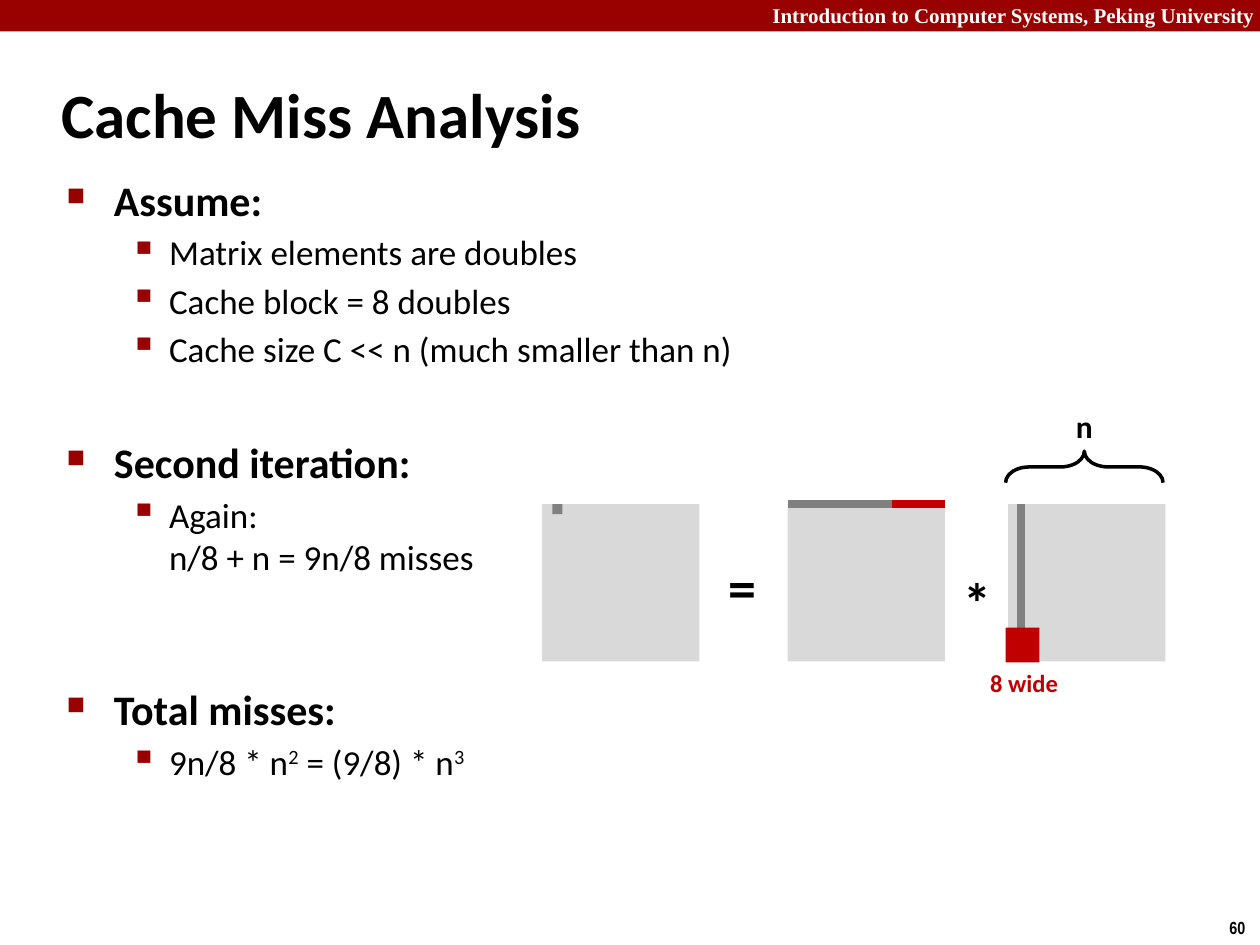
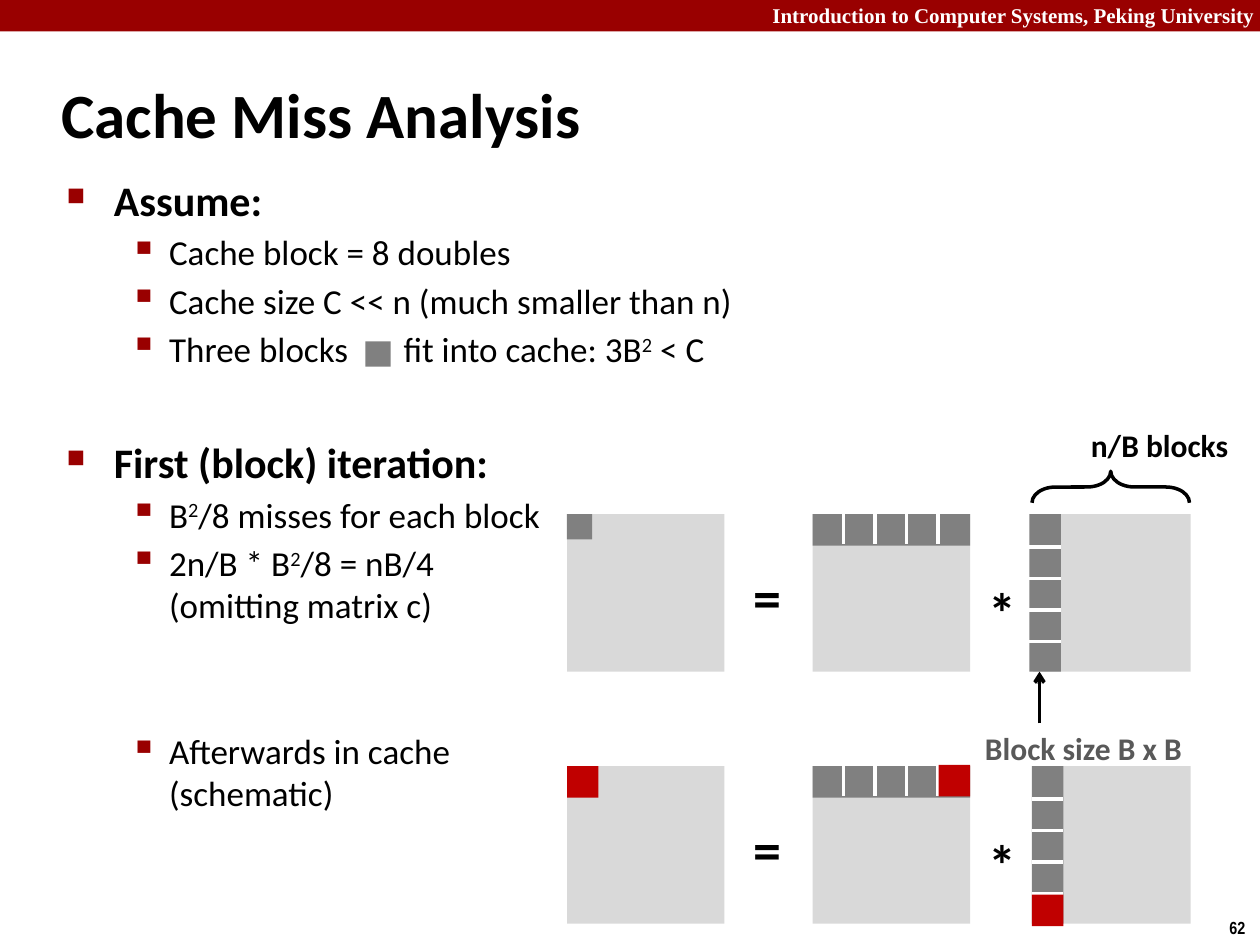
from lxml import etree
from pptx import Presentation
from pptx.dml.color import RGBColor
from pptx.enum import shapes, text
from pptx.oxml import ns
from pptx.util import Pt

RED, BRIGHT_RED = "990000", "C00000"
BLACK, WHITE = "000000", "FFFFFF"
MATRIX_GRAY, CACHED_GRAY, LABEL_GRAY = "D9D9D9", "808080", "595959"
SIDE, BLOCK = 90, 18
BLOCKS = SIDE // BLOCK
SMALL_BLOCK = 14.4
A_OFFSET, B_OFFSET = 140.4, 266.4
# level: font size, bold, left margin, indent, space before, bullet, bullet size
LEVELS = {
    0: (24, True, 27, -27, 4.3, "■", 60),
    1: (20, False, 58.5, -22.5, 3.6, "▪", 110),
}
HEADING_GAP, ITEM_GAP = 38.3, 59.6


def color(hex_string):
    return RGBColor.from_string(hex_string)


def add_xml(parent, tag, **attributes):
    return etree.SubElement(parent, ns.qn(tag), attributes)


def add_runs(paragraph, content, size, font="Calibri", fill=BLACK, bold=True):
    """Write content; ^ raises the next character and \\n breaks the line."""

    def add_run(piece, raised=False):
        run = paragraph.add_run()
        run.text = piece
        run.font.size, run.font.bold, run.font.name = Pt(size), bold, font
        run.font.color.rgb = color(fill)
        if raised:
            run._r.get_or_add_rPr().set("baseline", "30000")

    for line_number, line in enumerate(content.split("\n")):
        if line_number:
            paragraph.add_line_break()
        first, *rest = line.split("^")
        add_run(first)
        for piece in rest:
            add_run(piece[0], raised=True)
            if piece[1:]:
                add_run(piece[1:])


def add_text(slide, content, left, top, width, height, size=18, wrap=False,
             align=text.PP_ALIGN.LEFT, anchor=text.MSO_ANCHOR.TOP, **run_format):
    shape = slide.shapes.add_textbox(Pt(left), Pt(top), Pt(width), Pt(height))
    frame = shape.text_frame
    frame.word_wrap = wrap
    frame.vertical_anchor = anchor
    paragraph = frame.paragraphs[0]
    paragraph.alignment = align
    add_runs(paragraph, content, size, **run_format)


def add_rectangle(slide, left, top, width, height, fill):
    shape = slide.shapes.add_shape(shapes.MSO_SHAPE.RECTANGLE,
                                   Pt(left), Pt(top), Pt(width), Pt(height))
    shape.shadow.inherit = False
    shape.fill.solid()
    shape.fill.fore_color.rgb = color(fill)
    shape.line.fill.background()


def add_line(slide, start, end, line_color, width, arrow=False):
    line = slide.shapes.add_connector(shapes.MSO_CONNECTOR.STRAIGHT,
                                      *map(Pt, start), *map(Pt, end))
    line.line.color.rgb = color(line_color)
    line.line.width = Pt(width)
    if arrow:
        add_xml(line.line._get_or_add_ln(), "a:tailEnd", type="arrow")
    add_xml(line._element.spPr, "a:effectLst")


def add_top_brace(slide, left, top, width=90, height=18):
    """Add a brace over a matrix: a left brace turned to point upwards."""
    brace = slide.shapes.add_shape(
        shapes.MSO_SHAPE.LEFT_BRACE, Pt(left + (width - height) / 2),
        Pt(top - (width - height) / 2), Pt(height), Pt(width))
    brace.rotation = 90
    brace.adjustments[0] = 0.75
    brace.shadow.inherit = False
    brace.fill.background()
    brace.line.color.rgb = color(BLACK)
    brace.line.width = Pt(2)


def add_bullets(slide, items):
    """Add the outline; each item is level, text, space before, tab stop."""
    frame = slide.shapes.add_textbox(Pt(31), Pt(96), Pt(622), Pt(240)).text_frame
    frame.word_wrap = True
    for number, (level, content, gap, tab) in enumerate(items):
        size, bold, margin, indent, space, bullet, scale = LEVELS[level]
        paragraph = frame.add_paragraph() if number else frame.paragraphs[0]
        paragraph.level = level
        properties = paragraph._p.get_or_add_pPr()
        properties.set("marL", str(Pt(margin)))
        properties.set("indent", str(Pt(indent)))
        bullet_color = add_xml(properties, "a:buClr")
        add_xml(bullet_color, "a:srgbClr", val=RED)
        add_xml(properties, "a:buSzPct", val=str(scale * 1000))
        add_xml(properties, "a:buChar", char=bullet)
        if tab:
            tabs = add_xml(properties, "a:tabLst")
            add_xml(tabs, "a:tab", pos=str(Pt(tab)), algn="l")
        paragraph.space_before = Pt((gap or space) if number else 0)
        add_runs(paragraph, content, size, bold=bold)


def heading(content, gap=None):
    return 0, content, gap, None


def item(content, gap=None, tab=None):
    return 1, content, gap, tab


def add_slide(presentation, title, number):
    slide = presentation.slides.add_slide(presentation.slide_layouts[6])
    add_rectangle(slide, 0, 0, 720, 18, RED)
    add_text(slide, "Introduction to Computer Systems, Peking University",
             424, -2, 300, 21.6, size=12, wrap=True, font="Times New Roman",
             fill=WHITE, align=text.PP_ALIGN.RIGHT)
    add_text(slide, number, 695.5, 520.6, 24.5, 19.4, size=10, font="Arial Narrow")
    add_text(slide, title, 28, 34.6, 598, 59.8, size=36, wrap=True,
             anchor=text.MSO_ANCHOR.MIDDLE)
    return slide


def add_matrix_product(slide, left, top):
    for offset in (0, A_OFFSET, B_OFFSET):
        add_rectangle(slide, left + offset, top, SIDE, SIDE, MATRIX_GRAY)
    for symbol, right, down in (("=", 99.4, 24), ("*", 234, 32.8)):
        add_text(slide, symbol, left + right, top + down, 31, 46, size=32)


def add_blocked_product(slide, left, top, column_shift, cached=False):
    """Add a product split in blocks, with the blocks left in cache in red."""
    add_matrix_product(slide, left, top)
    row, column = left + A_OFFSET, left + B_OFFSET + column_shift
    add_rectangle(slide, row, top, SIDE, BLOCK, CACHED_GRAY)
    add_rectangle(slide, column, top, BLOCK, SIDE, CACHED_GRAY)
    for step in range(BLOCK, SIDE, BLOCK):
        add_line(slide, (row + step - 0.5, top - 0.7),
                 (row + step - 0.5, top + BLOCK - 0.7), WHITE, 2)
        add_line(slide, (column, top + step + 0.7),
                 (column + BLOCK, top + step + 0.7), WHITE, 2)
    if cached:
        last = (BLOCKS - 1) * BLOCK
        for x, y in ((left, top), (row + last, top - 0.7), (column, top + last + 1.4)):
            add_rectangle(slide, x, y, BLOCK, BLOCK, BRIGHT_RED)
    else:
        add_rectangle(slide, left, top, SMALL_BLOCK, SMALL_BLOCK, CACHED_GRAY)


def add_second_iteration(presentation):
    slide = add_slide(presentation, "Cache Miss Analysis", "60")
    add_bullets(slide, [
        heading("Assume:"),
        item("Matrix elements are doubles"),
        item("Cache block = 8 doubles"),
        item("Cache size C << n (much smaller than n)"),
        heading("Second iteration:", HEADING_GAP),
        item("Again:\nn/8 + n = 9n/8 misses"),
        heading("Total misses:", 60.6),
        item("9n/8 * n^2 = (9/8) * n^3"),
    ])
    left, top = 309.6, 288
    row, row_end, column = left + A_OFFSET, left + A_OFFSET + SIDE, 583.2
    add_matrix_product(slide, left, top)
    add_top_brace(slide, 574.6, 257.8)
    add_text(slide, "n", 607.7, 229, 24.5, 29)
    add_line(slide, (row, top), (row_end, top), CACHED_GRAY, 4.5)
    add_line(slide, (row_end - 30, top), (row_end, top), BRIGHT_RED, 4.5)
    add_line(slide, (column, top), (column, top + SIDE), CACHED_GRAY, 4.5)
    add_rectangle(slide, left + 6, top, 5.8, 5.8, CACHED_GRAY)
    add_rectangle(slide, 574.6, 358.6, 19.4, 20, BRIGHT_RED)
    add_text(slide, "8 wide", 558.7, 378, 53.3, 24.5, size=14, fill=BRIGHT_RED)


def add_first_block_iteration(presentation):
    slide = add_slide(presentation, "Cache Miss Analysis", "62")
    add_bullets(slide, [
        heading("Assume:"),
        item("Cache block = 8 doubles"),
        item("Cache size C << n (much smaller than n)"),
        item("Three blocks\tfit into cache: 3B^2 < C", tab=192.5),
        heading("First (block) iteration:", HEADING_GAP),
        item("B^2/8 misses for each block"),
        item("2n/B * B^2/8 = nB/4\n(omitting matrix c)"),
        item("Afterwards in cache\n(schematic)", ITEM_GAP),
    ])
    add_rectangle(slide, 208.8, 195.1, SMALL_BLOCK, SMALL_BLOCK, CACHED_GRAY)
    add_blocked_product(slide, 324, 437.8, column_shift=-0.7, cached=True)
    add_blocked_product(slide, 324, 293.8, column_shift=-2.2)
    add_text(slide, "Block size B x B", 555.8, 413.3, 128, 29, fill=LABEL_GRAY)
    add_line(slide, (594, 413.3), (594, 383.8), BLACK, 2, arrow=True)
    add_top_brace(slide, 589.7, 269.3)
    add_text(slide, "n/B blocks", 616.3, 239.8, 93.6, 29)


def main():
    presentation = Presentation()
    presentation.slide_width, presentation.slide_height = Pt(720), Pt(540)
    add_second_iteration(presentation)
    add_first_block_iteration(presentation)
    presentation.save("out.pptx")


if __name__ == "__main__":
    main()
